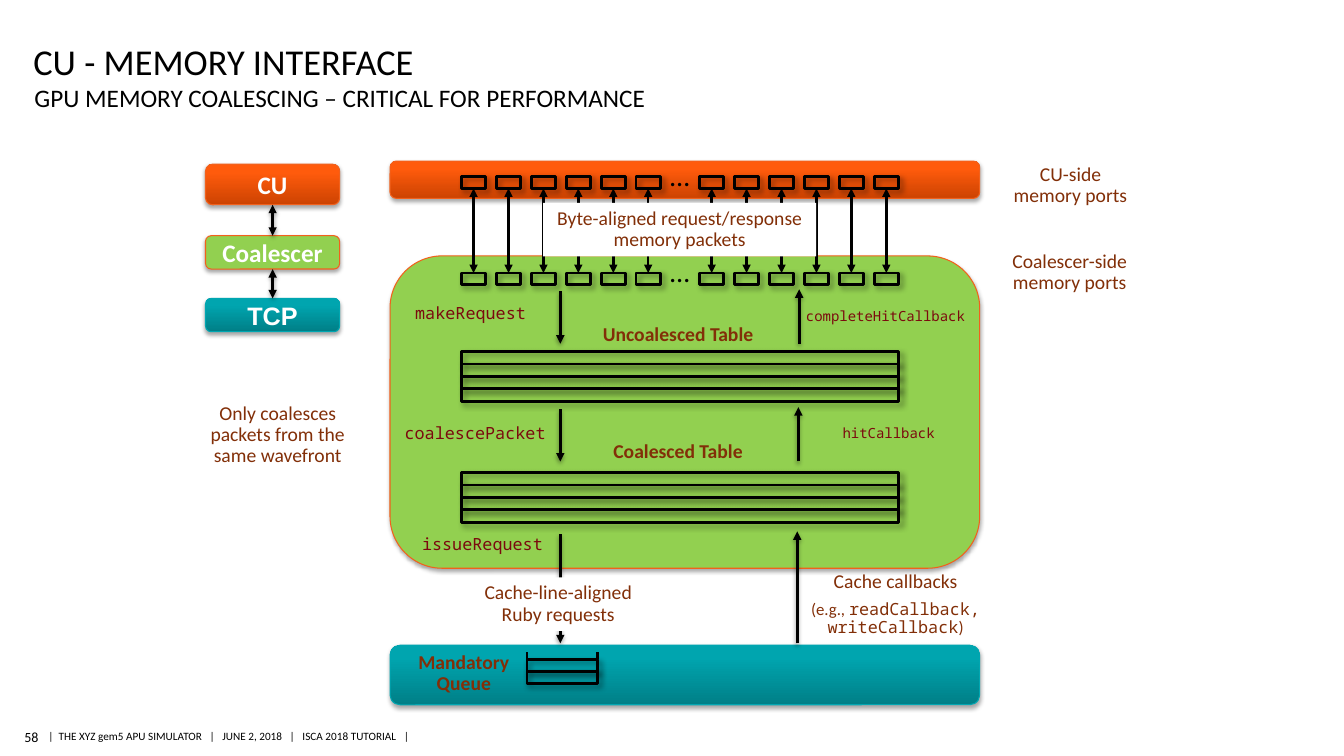
from dataclasses import dataclass

from lxml.etree import SubElement
from pptx import Presentation
from pptx.dml.color import RGBColor
from pptx.enum.shapes import MSO_CONNECTOR as Link, MSO_SHAPE as Shape
from pptx.enum.text import MSO_ANCHOR as Anchor, PP_ALIGN as Align
from pptx.oxml.ns import qn
from pptx.util import Cm, Pt


@dataclass(frozen=True)
class Theme:
    ink: str = "000000"
    paper: str = "FFFFFF"
    note: str = "822F08"
    code: str = "7B0A0E"
    green: str = "92D050"
    orange_edge: str = "F2611C"
    teal_edge: str = "00A6B1"
    orange: tuple = ("CC4302", "FF5B0C")
    teal: tuple = ("007F87", "00A5AF")
    sans: str = "Calibri"
    plain: str = "Arial"
    mono: str = "Noto Sans Mono"
    title: int = 26
    dots: int = 20
    heading: int = 18
    body: int = 14
    call: int = 12
    small: int = 10
    footer: int = 8
    # shadows: opacity %, blur pt, distance pt, direction in degrees
    block_shadow: tuple = (35, 3.1, 1.8, 90)
    arrow_shadow: tuple = (38, 3.1, 1.6, 90)
    cell_shadow: tuple = (40, 4, 3, 45)


T = Theme()


@dataclass(frozen=True)
class Box:
    """A rectangle in centimetres."""
    left: float
    top: float
    width: float
    height: float

    def inner(self, dx, dy, width, height):
        return Box(self.left + dx, self.top + dy, width, height)

    def lengths(self):
        return [Cm(v) for v in (self.left, self.top, self.width, self.height)]


def rgb(colour):
    return RGBColor.from_string(colour)


def set_shadow(item, shadow=None):
    props = item._element.spPr
    effects = props.find(qn("a:effectLst"))
    if effects is None:
        effects = SubElement(props, qn("a:effectLst"))
    if shadow:
        opacity, blur, distance, direction = shadow
        outer = SubElement(effects, qn("a:outerShdw"), blurRad=str(Pt(blur)), dist=str(Pt(distance)),
                           dir=str(direction * 60000), algn="ctr", rotWithShape="0")
        tint = SubElement(outer, qn("a:srgbClr"), val=T.ink)
        SubElement(tint, qn("a:alpha"), val=str(opacity * 1000))


def style_run(run, size, colour, font=T.sans, bold=False):
    run.font.size, run.font.name, run.font.bold = Pt(size), font, bold
    run.font.color.rgb = rgb(colour)


def add_line(slide, start, end, heads="", weight=2, shadow=None):
    """Draw from start to end; each is an (x, y) point or a (shape, side) pair."""
    joined = not isinstance(start[0], (int, float))
    points = (0, 0, 0, 0) if joined else [Cm(v) for v in (*start, *end)]
    line = slide.shapes.add_connector(Link.STRAIGHT, *points)
    if joined:
        line.begin_connect(*start)
        line.end_connect(*end)
    line.line.color.rgb = rgb(T.ink)
    line.line.width = Pt(weight)
    for head in heads.split():
        SubElement(line.line._get_or_add_ln(), qn(f"a:{head}"), type="triangle")
    set_shadow(line, shadow)


def add_block(slide, box, fill, edge, label="", font=T.sans):
    """Rounded block; a pair of fill colours makes a bottom-to-top gradient."""
    block = slide.shapes.add_shape(Shape.ROUNDED_RECTANGLE, *box.lengths())
    if isinstance(fill, tuple):
        block.fill.gradient()
        block.fill.gradient_angle = 90
        for stop, colour, position in zip(block.fill.gradient_stops, fill, (0, 0.8)):
            stop.color.rgb, stop.position = rgb(colour), position
    else:
        block.fill.solid()
        block.fill.fore_color.rgb = rgb(fill)
    block.line.color.rgb = rgb(edge)
    block.line.width = Pt(0.75)
    block.shadow.inherit = False
    set_shadow(block, T.block_shadow)
    if label:
        frame = block.text_frame
        frame.text = label
        frame.margin_left = frame.margin_right = 0
        frame.vertical_anchor = Anchor.MIDDLE
        frame.paragraphs[0].alignment = Align.CENTER
        style_run(frame.paragraphs[0].runs[0], T.heading, T.paper, font, True)
    return block


def add_cell(slide, box):
    cell = slide.shapes.add_shape(Shape.RECTANGLE, *box.lengths())
    cell.fill.background()
    cell.line.color.rgb = rgb(T.ink)
    cell.line.width = Pt(2)
    cell.shadow.inherit = False
    set_shadow(cell, T.cell_shadow)
    return cell


def add_note(slide, box, text, size=T.body, colour=T.note, font=T.sans, bold=False, fill=None):
    note = slide.shapes.add_textbox(*box.lengths())
    if fill:
        note.fill.solid()
        note.fill.fore_color.rgb = rgb(fill)
    frame = note.text_frame
    frame.word_wrap = True
    frame.vertical_anchor = Anchor.MIDDLE
    frame.text = text
    line = frame.paragraphs[0]
    line.alignment, line.line_spacing, line.space_after = Align.CENTER, 0.9, Pt(3)
    style_run(line.runs[0], size, colour, font, bold)
    return frame


def add_plain(slide, box, text, size, anchor, margins=(0, 0), align=Align.LEFT, wrap=True):
    frame = slide.shapes.add_textbox(*box.lengths()).text_frame
    frame.word_wrap, frame.vertical_anchor = wrap, anchor
    frame.margin_left = frame.margin_right = 0
    frame.margin_top, frame.margin_bottom = (Cm(m) for m in margins)
    frame.text = text
    frame.paragraphs[0].alignment = align
    style_run(frame.paragraphs[0].runs[0], size, T.ink)


def header(slide, box):
    add_plain(slide, box.inner(0, 0, box.width, 1.32), "CU - MEMORY INTERFACE", T.title, Anchor.BOTTOM, (0.13, 0))
    add_plain(slide, box.inner(0.03, 1.32, box.width, 0.79),
              "GPU MEMORY COALESCING – CRITICAL FOR PERFORMANCE", T.heading, Anchor.TOP)


def footer(slide, box):
    add_plain(slide, box.inner(0, 0, 0.41, box.height), "58", T.small, Anchor.MIDDLE, (0.1, 0.1), Align.RIGHT, False)
    add_plain(slide, box.inner(0.66, 0.02, 9.27, 0.58),
              "|  THE XYZ gem5 APU SIMULATOR   |   JUNE 2, 2018   |   ISCA 2018 TUTORIAL   |",
              T.footer, Anchor.MIDDLE, (0.1, 0.1))


def hierarchy(slide, box):
    cu = add_block(slide, box.inner(0, 0, box.width, 1.02), T.orange, T.orange_edge, "CU")
    coalescer = add_block(slide, box.inner(0, 1.8, box.width, 0.84), T.green, T.orange_edge, "Coalescer")
    tcp = add_block(slide, box.inner(0, 3.38, box.width, 0.84), T.teal, T.teal_edge, "TCP", T.plain)
    for upper, lower in ((cu, coalescer), (coalescer, tcp)):
        add_line(slide, (upper, 2), (lower, 0), "headEnd tailEnd", shadow=T.arrow_shadow)
    add_note(slide, box.inner(-0.2, 5.89, 4.04, 1.88),
             "Only coalesces packets from the same wavefront", fill=T.paper)


def port_row(slide, box):
    """Two groups of six ports with an ellipsis between them."""
    add_note(slide, box.inner(5.01, -0.49, 0.99, 1.02), "…", T.dots, T.ink)
    return [add_cell(slide, box.inner(group + 0.88 * i, 0, 0.61, box.height))
            for group in (0, 6) for i in range(6)]


def ports(slide, box):
    cu_ports = port_row(slide, box.inner(0, 0, box.width, 0.3))
    coalescer_ports = port_row(slide, box.inner(0, 2.43, box.width, 0.3))
    for upper, lower in zip(cu_ports, coalescer_ports):
        add_line(slide, (upper, 2), (lower, 0), "headEnd tailEnd", 1.75)
    add_note(slide, box.inner(2.06, 0.66, 6.88, 1.35),
             "Byte-aligned request/response memory packets", fill=T.paper)
    add_note(slide, box.inner(13.57, -0.44, 3.56, 1.35), "CU-side memory ports")
    add_note(slide, box.inner(13.59, 1.75, 3.48, 1.35), "Coalescer-side memory ports")


def entry_table(slide, box, title, title_rise, rows=4):
    for row in range(rows):
        add_cell(slide, box.inner(0, row * box.height / rows, box.width, box.height / rows))
    add_note(slide, box.inner((box.width - 4.4) / 2 - 0.05, -title_rise, 4.4, 0.79), title, bold=True)


def coalescer_calls(slide, box):
    arrows = ((4.29, 0.89, 2.21), (4.29, 3.86, 5.18), (4.29, 7.01, 9.76),
              (10.31, 2.21, 0.84), (10.29, 5.18, 3.81), (10.26, 9.76, 6.94))
    for x, start, end in arrows:
        add_line(slide, (box.left + x, box.top + start), (box.left + x, box.top + end),
                 "tailEnd", shadow=T.arrow_shadow)
    calls = (("makeRequest", 0, 1.12, 4.06, T.call), ("coalescePacket", -0.28, 4.14, 4.85, T.call),
             ("issueRequest", 0.3, 6.94, 4.06, T.call),
             ("completeHitCallback", 10.16, 1.18, 4.65, T.small), ("hitCallback", 10.24, 4.14, 4.65, T.small))
    for call, x, y, width, size in calls:
        add_note(slide, box.inner(x, y, width, 0.7), call, size, T.code, T.mono)
    add_note(slide, box.inner(2.03, 8.1, 4.42, 1.35), "Cache-line-aligned Ruby requests", fill=T.paper)

    callbacks = add_note(slide, box.inner(10.24, 7.82, 5, 1.93), "Cache callbacks")
    example = callbacks.add_paragraph()
    example.alignment, example.line_spacing = Align.CENTER, 0.9
    example.space_before = example.space_after = Pt(3)
    for part, font in (("(e.g., ", T.sans), ("readCallback, writeCallback", T.mono), (")", T.sans)):
        run = example.add_run()
        run.text = part
        style_run(run, T.call, T.note, font)


def mandatory_queue(slide, box):
    add_note(slide, box.inner(0.36, 0.05, 3, 1.35), "Mandatory Queue", bold=True)
    queue = box.inner(3.45, 0.35, 1.78, 0.31)
    for row in range(2):
        add_cell(slide, queue.inner(0, row * queue.height, queue.width, queue.height))
    for x in (queue.left, queue.left + queue.width):
        add_line(slide, (x, queue.top - 0.18), (x, queue.top))


def main():
    deck = Presentation()
    deck.slide_width, deck.slide_height = Cm(33.87), Cm(19.05)
    slide = deck.slides.add_slide(deck.slide_layouts[6])
    cu = Box(9.83, 4.06, 14.86, 0.94)
    coalescer = Box(9.83, 6.45, 14.86, 7.87)
    memory = Box(9.83, 16.26, 14.86, 1.5)

    header(slide, Box(0.84, 0.76, 28.96, 2.11))
    footer(slide, Box(0.56, 18.24, 9.93, 0.66))
    hierarchy(slide, Box(5.18, 4.14, 3.38, 4.22))
    add_block(slide, cu, T.orange, T.orange_edge)
    add_block(slide, coalescer, T.green, T.orange_edge)
    add_block(slide, memory, T.teal, T.teal_edge)
    ports(slide, cu.inner(1.8, 0.39, 11.02, 2.73))
    entry_table(slide, coalescer.inner(1.8, 2.41, 11.02, 1.25), "Uncoalesced Table", 0.81)
    entry_table(slide, coalescer.inner(1.8, 5.46, 11.02, 1.25), "Coalesced Table", 0.91)
    coalescer_calls(slide, coalescer)
    mandatory_queue(slide, memory)
    deck.save("out.pptx")


if __name__ == "__main__":
    main()
